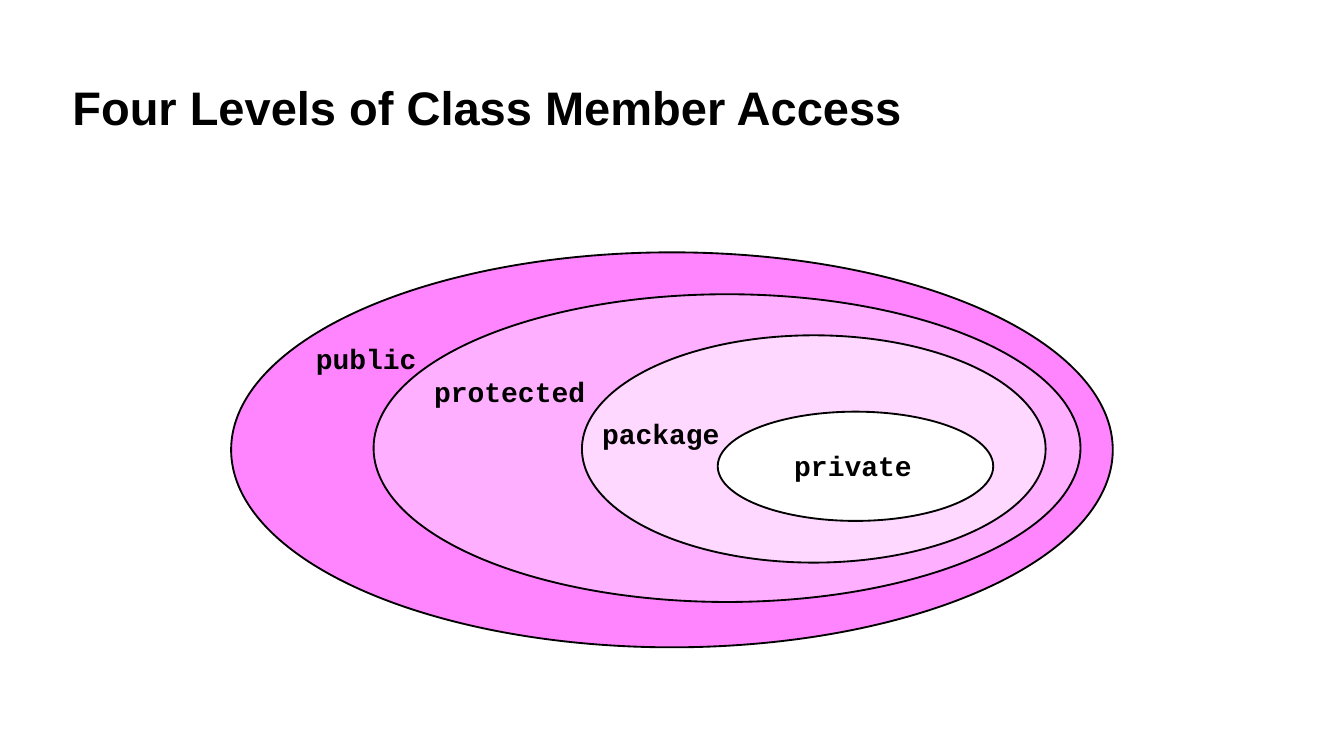
from dataclasses import dataclass

from pptx import Presentation
from pptx.dml.color import RGBColor
from pptx.enum.shapes import MSO_SHAPE
from pptx.enum.text import MSO_ANCHOR
from pptx.util import Inches, Length, Pt

OVAL = MSO_SHAPE.OVAL
TOP, MIDDLE = MSO_ANCHOR.TOP, MSO_ANCHOR.MIDDLE

BLACK = RGBColor(0x00, 0x00, 0x00)
WHITE = RGBColor(0xFF, 0xFF, 0xFF)
PINK = RGBColor(0xFF, 0x85, 0xFF)
LIGHT_PINK = RGBColor(0xFF, 0xAF, 0xFF)
PALE_PINK = RGBColor(0xFF, 0xD8, 0xFF)

SLIDE_WIDTH = Inches(10)
SLIDE_HEIGHT = Length(SLIDE_WIDTH * 9 // 16)
TITLE_FONT = {"name": "Arial", "size": Pt(25.2), "bold": True}
LABEL_FONT = {"name": "Courier New", "size": Pt(15), "bold": True}
LABEL_HEIGHT = 5.69
CHARACTER_WIDTH = 1.25
LABEL_PADDING = 0.7


@dataclass(frozen=True)
class Area:
    """A rectangle in percent of the slide's width and height."""
    left: float
    top: float
    width: float
    height: float

    def lengths(self) -> tuple[Length, ...]:
        return tuple(
            Length(round(share * side / 100))
            for share, side in (
                (self.left, SLIDE_WIDTH), (self.top, SLIDE_HEIGHT),
                (self.width, SLIDE_WIDTH), (self.height, SLIDE_HEIGHT),
            )
        )


@dataclass(frozen=True)
class AccessLevel:
    name: str
    fill: RGBColor
    area: Area
    label_left: float
    label_top: float


TITLE_AREA = Area(4.4, 8.65, 92.2, 11.2)
ACCESS_LEVELS = (
    AccessLevel("public", PINK, Area(17.2, 33.38, 65.6, 52.25), 23.2, 44.52),
    AccessLevel("protected", LIGHT_PINK, Area(27.8, 38.93, 52.6, 40.71), 32, 48.89),
    AccessLevel("package", PALE_PINK, Area(43.3, 44.36, 34.5, 30.07), 44.5, 54.5),
    AccessLevel("private", WHITE, Area(53.4, 54.45, 20.5, 14.45), 58.8, 58.75),
)


def add_text(page, text: str, area: Area, font: dict, inset: Length,
             anchor: MSO_ANCHOR, wrap: bool) -> None:
    frame = page.shapes.add_textbox(*area.lengths()).text_frame
    frame_format = {
        "word_wrap": wrap, "vertical_anchor": anchor,
        "margin_left": inset, "margin_top": inset,
        "margin_right": inset, "margin_bottom": inset,
    }
    for attribute, value in frame_format.items():
        setattr(frame, attribute, value)
    span = frame.paragraphs[0].add_run()
    span.text = text
    for attribute, value in font.items():
        setattr(span.font, attribute, value)
    span.font.color.rgb = BLACK


def add_ellipse(page, level: AccessLevel) -> None:
    ellipse = page.shapes.add_shape(OVAL, *level.area.lengths())
    ellipse.shadow.inherit = False
    ellipse.fill.solid()
    ellipse.fill.fore_color.rgb = level.fill
    ellipse.line.color.rgb = BLACK
    ellipse.line.width = Pt(1)


def add_label(page, level: AccessLevel) -> None:
    """Place the level's name in a box as wide as its monospaced text."""
    width = len(level.name) * CHARACTER_WIDTH + LABEL_PADDING
    area = Area(level.label_left, level.label_top, width, LABEL_HEIGHT)
    add_text(page, level.name, area, LABEL_FONT, Inches(0.03), MIDDLE, False)


def main() -> None:
    deck = Presentation()
    deck.slide_width, deck.slide_height = SLIDE_WIDTH, SLIDE_HEIGHT
    page = deck.slides.add_slide(deck.slide_layouts[6])
    add_text(page, "Four Levels of Class Member Access", TITLE_AREA,
             TITLE_FONT, Inches(0.1), TOP, True)
    for level in ACCESS_LEVELS:
        add_ellipse(page, level)
    for level in ACCESS_LEVELS:
        add_label(page, level)
    deck.save("out.pptx")


if __name__ == "__main__":
    main()
